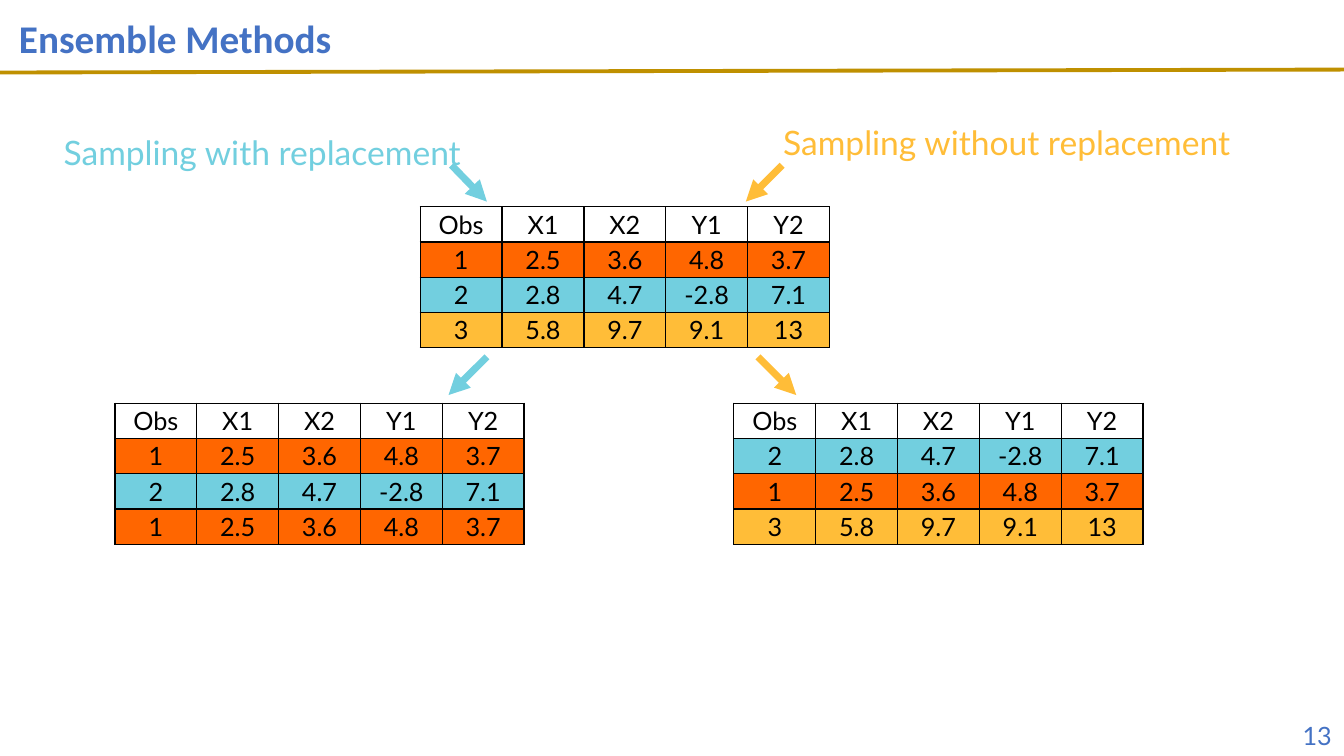
"""Build the slide that compares sampling with and without replacement."""
from dataclasses import dataclass

from lxml import etree
from pptx import Presentation
from pptx import util as u
from pptx.dml.color import RGBColor
from pptx.enum import shapes, text
from pptx.oxml import ns
from pptx.slide import Slide

BLUE = RGBColor(0x44, 0x72, 0xC4)
GOLD = RGBColor(0xBF, 0x90, 0x00)
BLACK = RGBColor(0, 0, 0)
ORANGE = RGBColor(0xFF, 0x66, 0x00)
CYAN = RGBColor(0x72, 0xCF, 0xDF)
AMBER = RGBColor(0xFF, 0xBD, 0x38)

HEADER = ("Obs", "X1", "X2", "Y1", "Y2")
OBSERVATIONS = {
    1: (("1", "2.5", "3.6", "4.8", "3.7"), ORANGE),
    2: (("2", "2.8", "4.7", "-2.8", "7.1"), CYAN),
    3: (("3", "5.8", "9.7", "9.1", "13"), AMBER),
}
COLUMN_WIDTH = 58.46
ROW_HEIGHT = 25.2


@dataclass(frozen=True)
class Label:
    words: str
    left: float
    top: float
    width: float
    height: float
    size: float
    color: RGBColor
    font: str = "Lato"
    bold: bool = False
    align: text.PP_ALIGN = text.PP_ALIGN.LEFT
    anchor: text.MSO_ANCHOR = text.MSO_ANCHOR.TOP
    inset_x: float = 7.2
    inset_y: float = 3.6
    line_spacing: float = 1.0


@dataclass(frozen=True)
class Line:
    start: tuple[float, float]
    end: tuple[float, float]
    color: RGBColor
    weight: float = 5
    arrow: bool = True


@dataclass(frozen=True)
class Sample:
    left: float
    top: float
    observations: tuple[int, ...]


LABELS = (
    Label("Ensemble Methods", 6.5, 0, 828, 57.6, 28, BLUE, font="Calibri", bold=True,
          anchor=text.MSO_ANCHOR.MIDDLE, line_spacing=0.9),
    Label("Sampling with replacement", 41.8, 92.2, 306, 36, 24, CYAN,
          inset_x=3.6, inset_y=1.8),
    Label("Sampling without replacement", 555.8, 85, 363.6, 51, 24, AMBER,
          inset_x=3.6, inset_y=1.8),
    Label("13", 734.4, 511.2, 224, 28.8, 18, BLUE, align=text.PP_ALIGN.RIGHT),
)
LINES = (
    Line((0, 51.8), (960, 49.7), GOLD, weight=2.75, arrow=False),
    Line((322.5, 118), (347.8, 144), CYAN),
    Line((558.7, 118), (532.8, 144), AMBER),
    Line((541.4, 254.9), (568.8, 282.2), AMBER),
    Line((347.8, 254.9), (320.4, 282.2), CYAN),
)
SAMPLES = (
    Sample(300.2, 147.6, (1, 2, 3)),
    Sample(82.1, 288, (1, 2, 1)),
    Sample(524.2, 288, (2, 1, 3)),
)


def add_span(para, words: str, font: str, size: float, color: RGBColor,
             bold: bool = False) -> None:
    span = para.add_run()
    span.text = words
    span.font.name = font
    span.font.size = u.Pt(size)
    span.font.bold = bold
    span.font.color.rgb = color


def add_label(page: Slide, label: Label) -> None:
    box = page.shapes.add_textbox(
        u.Pt(label.left), u.Pt(label.top), u.Pt(label.width), u.Pt(label.height))
    frame = box.text_frame
    frame.word_wrap = True
    frame.vertical_anchor = label.anchor
    frame.margin_left = frame.margin_right = u.Pt(label.inset_x)
    frame.margin_top = frame.margin_bottom = u.Pt(label.inset_y)
    para = frame.paragraphs[0]
    para.alignment = label.align
    para.line_spacing = label.line_spacing
    add_span(para, label.words, label.font, label.size, label.color, label.bold)


def add_line(page: Slide, line: Line) -> None:
    connector = page.shapes.add_connector(
        shapes.MSO_CONNECTOR.STRAIGHT, *map(u.Pt, line.start + line.end))
    connector.line.color.rgb = line.color
    connector.line.width = u.Pt(line.weight)
    if line.arrow:
        outline = connector.line._get_or_add_ln()
        etree.SubElement(outline, ns.qn("a:tailEnd"), type="triangle")
    etree.SubElement(connector._element.spPr, ns.qn("a:effectLst"))


def add_borders(cell) -> None:
    properties = cell._tc.get_or_add_tcPr()
    for side in ("lnL", "lnR", "lnT", "lnB"):
        border = etree.SubElement(properties, ns.qn(f"a:{side}"), w=str(u.Pt(1)))
        fill = etree.SubElement(border, ns.qn("a:solidFill"))
        etree.SubElement(fill, ns.qn("a:srgbClr"), val=str(BLACK))


def fill_cell(cell, words: str, color: RGBColor | None) -> None:
    cell.margin_left = cell.margin_right = u.Pt(3.6)
    cell.margin_top = cell.margin_bottom = u.Pt(1.8)
    add_borders(cell)
    if color is None:
        cell.fill.background()
    else:
        cell.fill.solid()
        cell.fill.fore_color.rgb = color
    para = cell.text_frame.paragraphs[0]
    para.alignment = text.PP_ALIGN.CENTER
    add_span(para, words, "Lato", 18, BLACK)


def add_sample(page: Slide, sample: Sample) -> None:
    rows = [(HEADER, None)] + [OBSERVATIONS[number] for number in sample.observations]
    table = page.shapes.add_table(
        len(rows), len(HEADER), u.Pt(sample.left), u.Pt(sample.top),
        u.Pt(COLUMN_WIDTH * len(HEADER)), u.Pt(ROW_HEIGHT * len(rows))).table
    table.first_row = table.horz_banding = False
    for column in table.columns:
        column.width = u.Pt(COLUMN_WIDTH)
    for row, (values, color) in zip(table.rows, rows):
        row.height = u.Pt(ROW_HEIGHT)
        for cell, words in zip(row.cells, values):
            fill_cell(cell, words, color)


def main() -> None:
    deck = Presentation()
    deck.slide_width, deck.slide_height = u.Pt(960), u.Pt(540)
    page = deck.slides.add_slide(deck.slide_layouts[6])
    for label in LABELS:
        add_label(page, label)
    for line in LINES:
        add_line(page, line)
    for sample in SAMPLES:
        add_sample(page, sample)
    deck.save("out.pptx")


if __name__ == "__main__":
    main()
